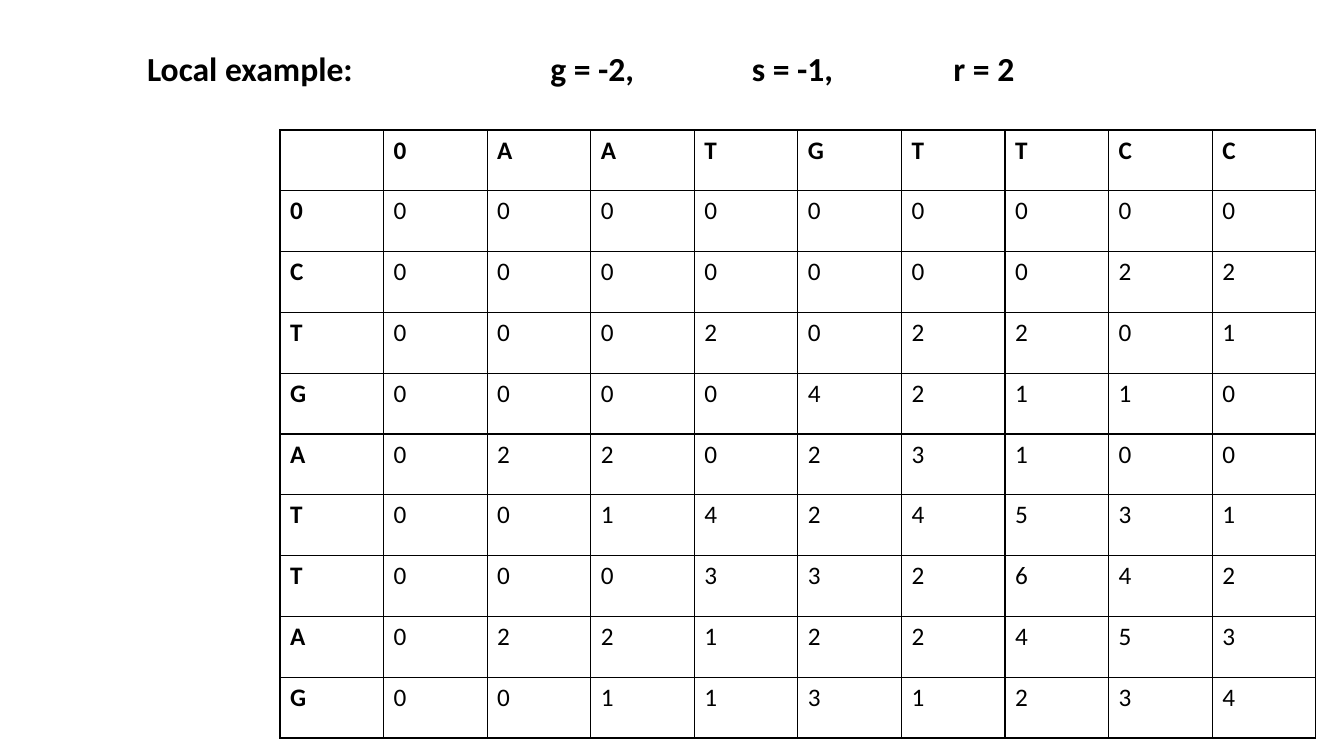
from lxml.etree import SubElement
from pptx import Presentation
from pptx.dml.color import RGBColor
from pptx.enum.text import MSO_ANCHOR, MSO_AUTO_SIZE, PP_ALIGN
from pptx.oxml.ns import qn
from pptx.util import Emu, Inches, Pt

BLACK = "000000"
HEADING = "Local example:\t\tg = -2,\t\ts = -1, \t\tr = 2"
TOP_SEQUENCE = "0AATGTTCC"
SIDE_SEQUENCE = "0CTGATTAG"
SCORES = [
    "000000000",
    "000000022",
    "000202201",
    "000042110",
    "022023100",
    "001424531",
    "000332642",
    "022122453",
    "001131234",
]


def px(count):
    return Emu(round(count * 914400 / 100.8))


def color(hex_string):
    return RGBColor.from_string(hex_string)


def write(text_frame, text, size=18, bold=False, font="Calibri", fill=BLACK):
    """Put text in the frame's first paragraph and return that paragraph."""
    paragraph = text_frame.paragraphs[0]
    paragraph.alignment = PP_ALIGN.LEFT
    run = paragraph.add_run()
    run.text = text
    run.font.name = font
    run.font.size = Pt(size)
    run.font.bold = bold
    run.font.color.rgb = color(fill)
    return paragraph


class SlideBuilder:
    """Holds the slide and the style of its grid lines."""

    def __init__(self, slide, line_color=BLACK, line_width=1):
        self.slide = slide
        self.line_color = line_color
        self.line_width = line_width

    def title(self, text, left, top, width, height, tab_inches):
        shape = self.slide.shapes.title
        shape.left, shape.top = px(left), px(top)
        shape.width, shape.height = px(width), px(height)
        frame = shape.text_frame
        frame.word_wrap = True
        frame.auto_size = MSO_AUTO_SIZE.SHAPE_TO_FIT_TEXT
        frame.vertical_anchor = MSO_ANCHOR.TOP
        paragraph = write(frame, text, size=24, bold=True)
        tab_list = SubElement(paragraph._p.get_or_add_pPr(), qn("a:tabLst"))
        for stop in tab_inches:
            SubElement(tab_list, qn("a:tab"), pos=str(Inches(stop)), algn="l")

    def border(self, cell):
        properties = cell._tc.get_or_add_tcPr()
        for side in ("lnL", "lnR", "lnT", "lnB"):
            line = SubElement(properties, qn(f"a:{side}"), w=str(Pt(self.line_width)))
            fill = SubElement(line, qn("a:solidFill"))
            SubElement(fill, qn("a:srgbClr"), val=self.line_color)

    def table(self, rows, left, top, width, height):
        """Draw equal cells, with the first row and column in bold."""
        table = self.slide.shapes.add_table(
            len(rows), len(rows[0]), px(left), px(top), px(width), px(height)
        ).table
        table.first_row = table.horz_banding = False
        for row_index, row in enumerate(rows):
            for column_index, text in enumerate(row):
                cell = table.cell(row_index, column_index)
                self.border(cell)
                cell.fill.background()
                if text:
                    is_header = row_index == 0 or column_index == 0
                    write(cell.text_frame, text, bold=is_header)


def main():
    presentation = Presentation()
    presentation.slide_width, presentation.slide_height = px(1344), px(756)
    title_only = presentation.slide_layouts[5]
    builder = SlideBuilder(presentation.slides.add_slide(title_only))

    rows = [["", *TOP_SEQUENCE]]
    rows += [[letter, *scores] for letter, scores in zip(SIDE_SEQUENCE, SCORES)]
    builder.table(rows, 280, 130, 1036, 608)
    builder.title(HEADING, 137, 43, 1180, 50, tab_inches=range(1, 9))

    presentation.save("out.pptx")


if __name__ == "__main__":
    main()
